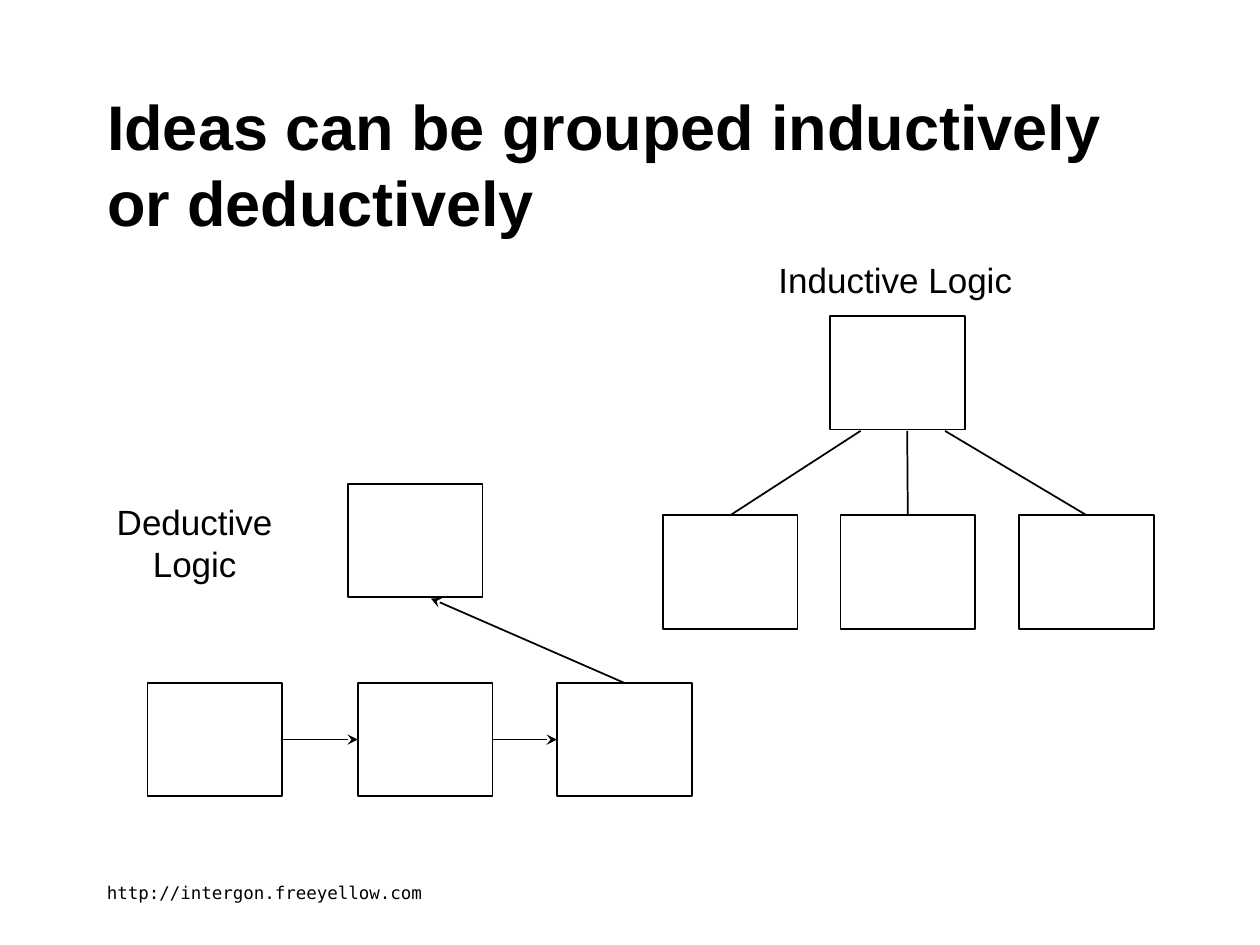
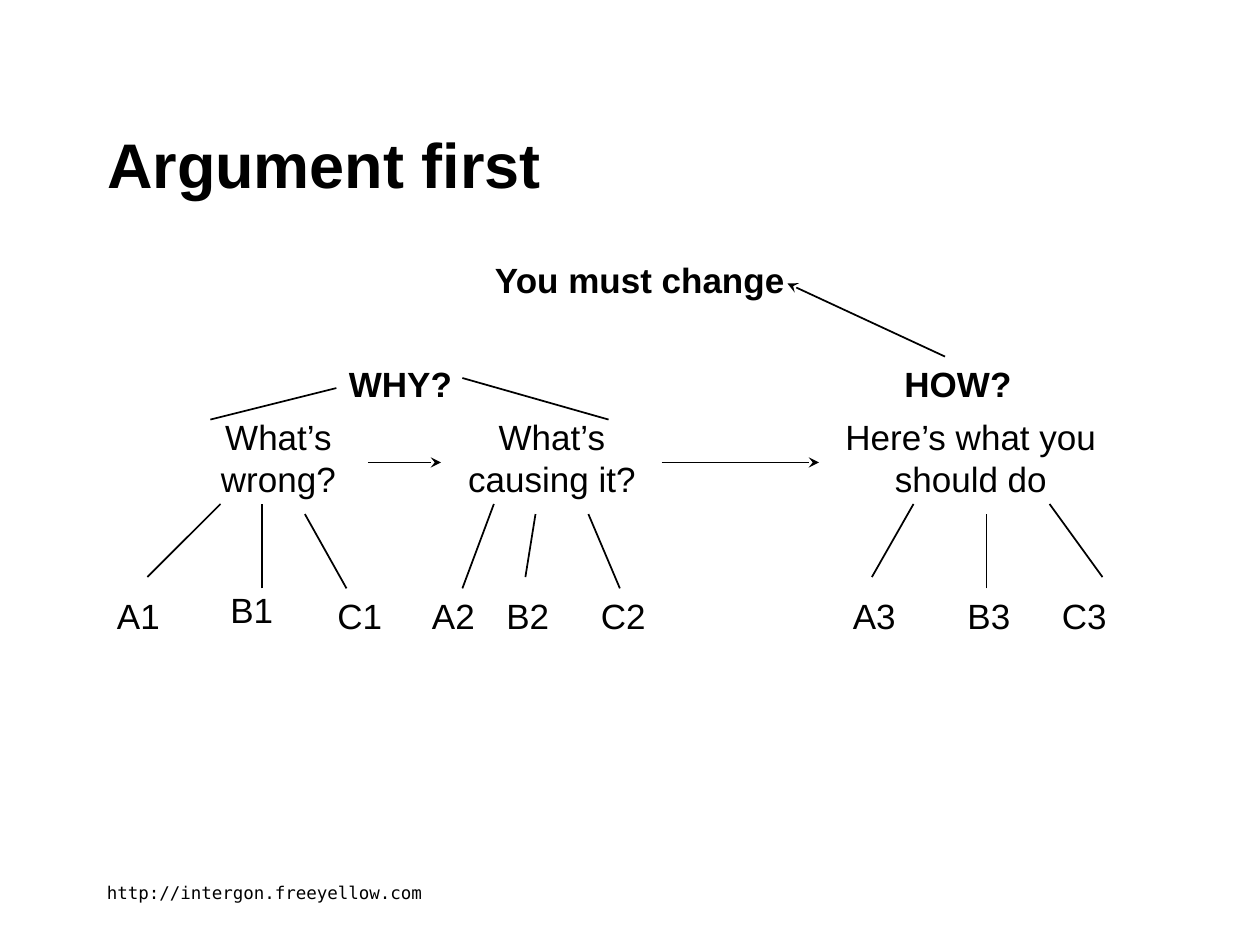
"""Build two slides on grouping ideas inductively and deductively."""
from typing import NamedTuple

from lxml import etree
from pptx import Presentation
from pptx.dml.color import RGBColor
from pptx.enum.shapes import MSO_CONNECTOR, MSO_SHAPE
from pptx.enum.text import MSO_ANCHOR, MSO_AUTO_SIZE, PP_ALIGN
from pptx.oxml.ns import qn
from pptx.util import Inches, Pt

RECTANGLE = MSO_SHAPE.RECTANGLE
STRAIGHT = MSO_CONNECTOR.STRAIGHT
MIDDLE, TOP = MSO_ANCHOR.MIDDLE, MSO_ANCHOR.TOP
LEFT, CENTER = PP_ALIGN.LEFT, PP_ALIGN.CENTER
NO_FIT, GROW = MSO_AUTO_SIZE.NONE, MSO_AUTO_SIZE.SHAPE_TO_FIT_TEXT
TOP_SIDE, LEFT_SIDE, RIGHT_SIDE = 0, 1, 3
TITLE_ONLY = 5

INK, PAPER = "000000", "FFFFFF"
SANS, MONO = "Arial", "DejaVu Sans Mono"
BOX_WIDTH, BOX_HEIGHT = 1.07, 0.9
ONE_LINE, TWO_LINES = 0.43, 0.77
FOOTER = "http://intergon.freeyellow.com"


class Label(NamedTuple):
    text: str
    left: float
    top: float
    width: float
    height: float = ONE_LINE
    bold: bool = False
    align: PP_ALIGN = LEFT


class Link(NamedTuple):
    start: tuple[float, float]
    end: tuple[float, float]
    arrow: bool = False


DEDUCTIVE_LEFTS = (1.17, 2.84, 4.42)
INDUCTIVE_LEFTS = (5.26, 6.67, 8.09)
INDUCTIVE_HEADS = (6.83, 7.2, 7.5)

LOGIC_LABELS = (
    Label("Inductive Logic", 6.08, 2, 2.5),
    Label("Deductive Logic", 0.67, 3.92, 1.75, TWO_LINES, align=CENTER),
)

ARGUMENT_LABELS = (
    Label("You must change", 3.83, 2, 2.75, bold=True),
    Label("WHY?", 2.67, 2.83, 1.17, bold=True),
    Label("HOW?", 7.08, 2.83, 1.5, bold=True),
    Label("What’s wrong?", 1.42, 3.25, 1.58, TWO_LINES, align=CENTER),
    Label("What’s causing it?", 3.42, 3.25, 1.92, TWO_LINES, align=CENTER),
    Label("Here’s what you should do", 6.58, 3.25, 2.25, TWO_LINES, align=CENTER),
    Label("A1", 0.83, 4.67, 0.75),
    Label("B1", 1.73, 4.62, 0.6),
    Label("C1", 2.58, 4.67, 0.67),
    Label("A2", 3.33, 4.67, 0.67),
    Label("B2", 3.92, 4.67, 0.83),
    Label("C2", 4.67, 4.67, 0.75),
    Label("A3", 6.67, 4.67, 0.58),
    Label("B3", 7.58, 4.67, 0.58),
    Label("C3", 8.33, 4.67, 0.67),
)

ARGUMENT_LINKS = (
    Link((2.92, 3.67), (3.5, 3.67), True),
    Link((5.25, 3.67), (6.5, 3.67), True),
    Link((7.5, 2.83), (6.25, 2.25), True),
    Link((2.67, 3.08), (1.67, 3.33)),
    Link((3.67, 3), (4.83, 3.33)),
    Link((1.17, 4.58), (1.75, 4)),
    Link((2.08, 4.67), (2.08, 4)),
    Link((2.75, 4.67), (2.42, 4.08)),
    Link((3.67, 4.67), (3.92, 4)),
    Link((4.17, 4.58), (4.25, 4.08)),
    Link((4.67, 4.08), (4.92, 4.67)),
    Link((6.92, 4.58), (7.25, 4)),
    Link((7.83, 4.67), (7.83, 4.08)),
    Link((8.75, 4.58), (8.33, 4)),
)


def colour(value: str) -> RGBColor:
    return RGBColor.from_string(value)


def write(shape, text: str, size: float, font: str = SANS, bold: bool = False,
          align: PP_ALIGN = LEFT, anchor: MSO_ANCHOR = TOP,
          fit: MSO_AUTO_SIZE = NO_FIT) -> None:
    frame = shape.text_frame
    frame.text = text
    frame.word_wrap = True
    frame.auto_size = fit
    frame.vertical_anchor = anchor
    para = frame.paragraphs[0]
    para.alignment = align
    for span in para.runs:
        span.font.name = font
        span.font.size = Pt(size)
        span.font.bold = bold
        span.font.color.rgb = colour(INK)


def add_label(page, label: Label) -> None:
    box = page.shapes.add_textbox(Inches(label.left), Inches(label.top),
                                  Inches(label.width), Inches(label.height))
    write(box, label.text, 20, bold=label.bold, align=label.align, fit=GROW)


def add_box(page, left: float, top: float):
    box = page.shapes.add_shape(RECTANGLE, Inches(left), Inches(top),
                                Inches(BOX_WIDTH), Inches(BOX_HEIGHT))
    box.shadow.inherit = False
    box.fill.solid()
    box.fill.fore_color.rgb = colour(PAPER)
    box.line.color.rgb = colour(INK)
    box.line.width = Pt(1)
    return box


def add_link(page, link: Link):
    ends = [Inches(value) for value in (*link.start, *link.end)]
    connector = page.shapes.add_connector(STRAIGHT, *ends)
    connector.line.color.rgb = colour(INK)
    connector.line.width = Pt(1)
    properties = connector.line._get_or_add_ln()
    if link.arrow:
        etree.SubElement(properties, qn("a:tailEnd"), type="stealth")
    etree.SubElement(properties.getparent(), qn("a:effectLst"))
    return connector


def add_page(deck, title: str):
    page = deck.slides.add_slide(deck.slide_layouts[TITLE_ONLY])
    heading = page.shapes.title
    heading.left, heading.top = Inches(0.75), Inches(0.67)
    heading.width, heading.height = Inches(8.5), Inches(1.25)
    write(heading, title, 36, bold=True, anchor=MIDDLE)
    footer = page.shapes.add_textbox(Inches(0.75), Inches(6.83),
                                     Inches(4.67), Inches(0.5))
    write(footer, FOOTER, 10, font=MONO, anchor=MIDDLE)
    return page


def draw_deduction(page) -> None:
    add_box(page, 2.76, 3.84)
    steps = [add_box(page, left, 5.42) for left in DEDUCTIVE_LEFTS]
    for before, after in zip(steps, steps[1:]):
        arrow = add_link(page, Link((0, 0), (1, 0), True))
        arrow.begin_connect(before, RIGHT_SIDE)
        arrow.end_connect(after, LEFT_SIDE)
    conclusion = add_link(page, Link((4.92, 5.42), (3.42, 4.75), True))
    conclusion.begin_connect(steps[-1], TOP_SIDE)


def draw_induction(page) -> None:
    add_box(page, 6.59, 2.51)
    for left, head in zip(INDUCTIVE_LEFTS, INDUCTIVE_HEADS):
        support = add_box(page, left, 4.09)
        link = add_link(page, Link((left + BOX_WIDTH / 2, 4.09), (head, 3.42)))
        link.begin_connect(support, TOP_SIDE)


def main() -> None:
    deck = Presentation()
    deck.slide_width, deck.slide_height = Inches(10), Inches(7.5)

    logic = add_page(deck, "Ideas can be grouped inductively or deductively")
    draw_deduction(logic)
    draw_induction(logic)
    for label in LOGIC_LABELS:
        add_label(logic, label)

    argument = add_page(deck, "Argument first")
    for label in ARGUMENT_LABELS:
        add_label(argument, label)
    for link in ARGUMENT_LINKS:
        add_link(argument, link)

    deck.save("out.pptx")


if __name__ == "__main__":
    main()
